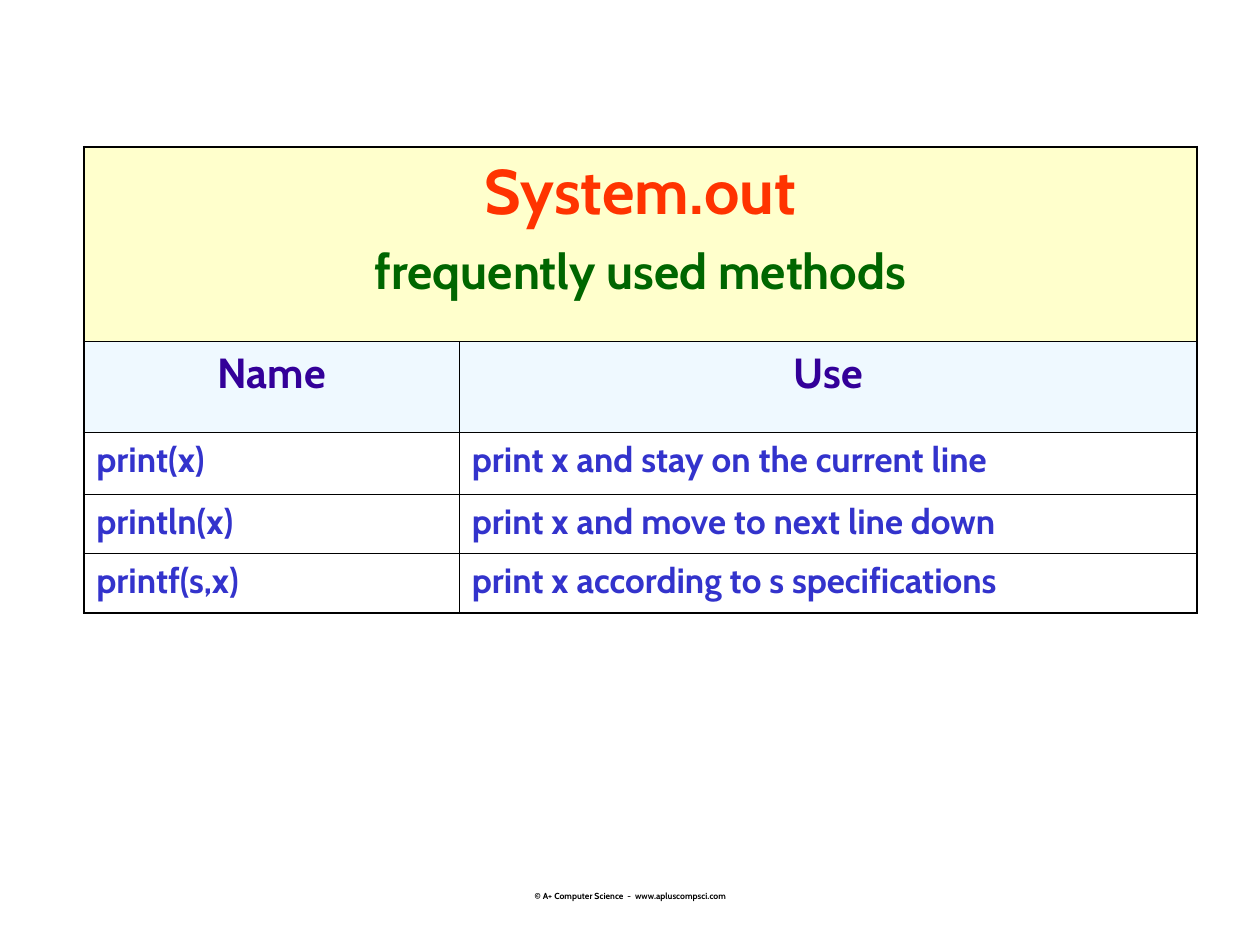
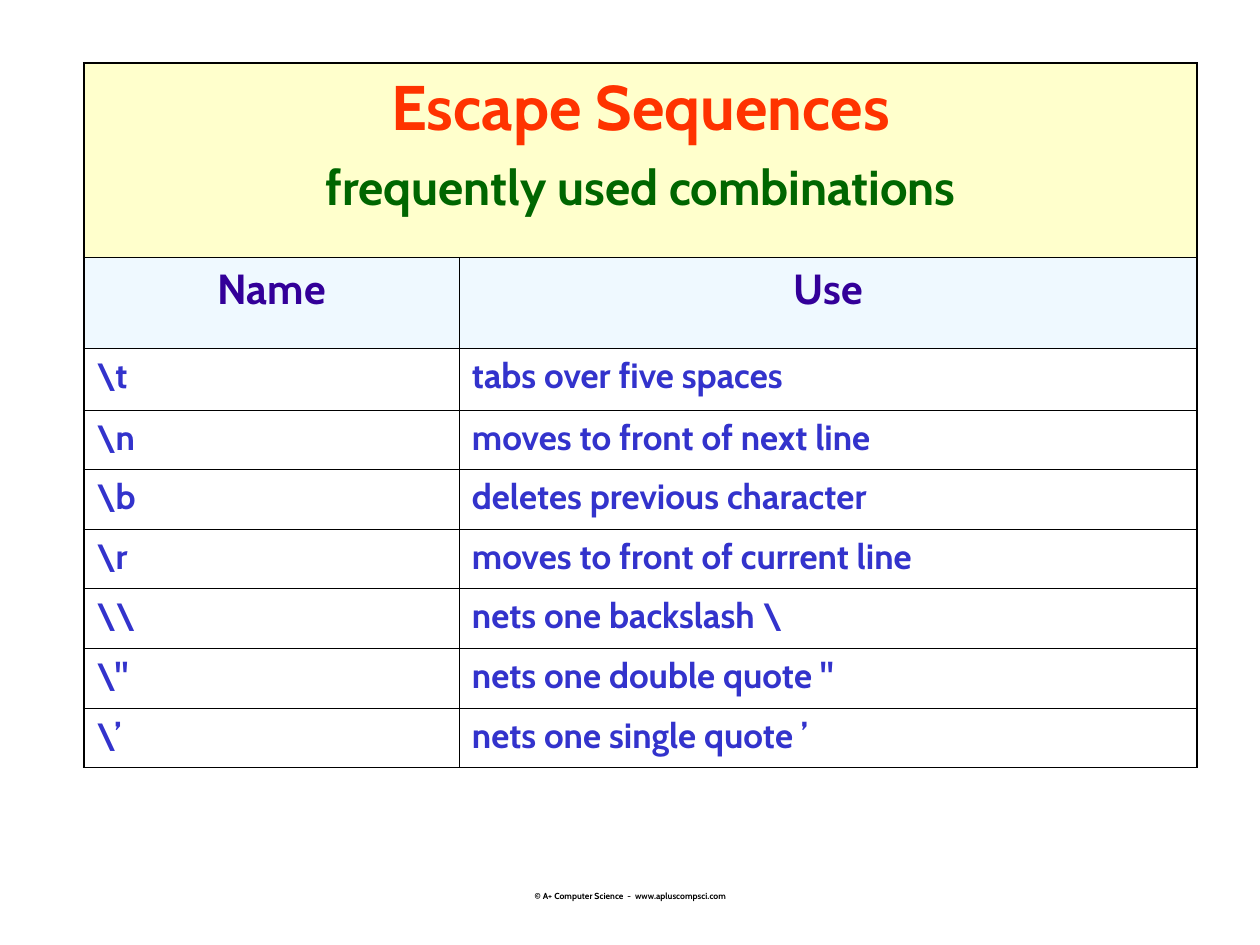
from dataclasses import dataclass

import pptx
import pptx.dml.color
import pptx.enum.text
import pptx.oxml
import pptx.oxml.ns
import pptx.presentation
import pptx.slide
import pptx.table
import pptx.text.text
import pptx.util
from pptx.dml.color import RGBColor
from pptx.util import Cm

# Shared look
FONT = "Cabin"
BLACK = RGBColor(0x00, 0x00, 0x00)
TITLE_RED = RGBColor(0xFF, 0x33, 0x00)
SUBTITLE_GREEN = RGBColor(0x00, 0x66, 0x00)
HEADING_PURPLE = RGBColor(0x33, 0x00, 0x99)
ENTRY_BLUE = RGBColor(0x33, 0x33, 0xCC)
BANNER_YELLOW = RGBColor(0xFF, 0xFF, 0xCC)
HEADING_FILL = RGBColor(0xE1, 0xF4, 0xFF)
HEADING_OPACITY = 50
OUTER_LINE = pptx.util.Pt(1.08)
INNER_LINE = pptx.util.Pt(0.45)

TABLE_LEFT = Cm(1.69)
COLUMN_WIDTHS = (Cm(7.57), Cm(14.87))
TOP_ROW_HEIGHTS = (Cm(3.92), Cm(1.83), Cm(1.25))
ENTRY_HEIGHT = Cm(1.2)
HEADINGS = ("Name", "Use")
FOOTER = "© A+ Computer Science  -  www.apluscompsci.com"

LEFT = pptx.enum.text.PP_ALIGN.LEFT
CENTER = pptx.enum.text.PP_ALIGN.CENTER


@dataclass(frozen=True)
class TextStyle:
    size: float
    color: RGBColor
    alignment: pptx.enum.text.PP_ALIGN = CENTER


TITLE = TextStyle(36, TITLE_RED)
SUBTITLE = TextStyle(28, SUBTITLE_GREEN)
HEADING = TextStyle(24, HEADING_PURPLE)
ENTRY = TextStyle(20, ENTRY_BLUE, LEFT)
FOOTNOTE = TextStyle(5, BLACK)


@dataclass(frozen=True)
class ReferenceTable:
    title: str
    subtitle: str
    top: pptx.util.Length
    entries: tuple[tuple[str, str], ...]


REFERENCE_TABLES = (
    ReferenceTable("System.out", "frequently used methods", Cm(2.96), (
        ("print(x)", "print x and stay on the current line"),
        ("println(x)", "print x and move to next line down"),
        ("printf(s,x)", "print x according to s specifications"),
    )),
    ReferenceTable("Escape Sequences", "frequently used combinations", Cm(1.27), (
        (r"\t", "tabs over five spaces"),
        (r"\n", "moves to front of next line"),
        (r"\b", "deletes previous character"),
        (r"\r", "moves to front of current line"),
        (r"\\", "nets one backslash \\"),
        (r'\"', 'nets one double quote "'),
        (r"\’", "nets one single quote ’"),
    )),
)


def format_paragraph(paragraph: pptx.text.text._Paragraph, style: TextStyle) -> None:
    paragraph.alignment = style.alignment
    for run in paragraph.runs:
        run.font.name = FONT
        run.font.size = pptx.util.Pt(style.size)
        run.font.bold = True
        run.font.color.rgb = style.color


def fill_cell(cell: pptx.table._Cell, text: str, styles: tuple[TextStyle, ...]) -> None:
    cell.text_frame.text = text
    for paragraph, style in zip(cell.text_frame.paragraphs, styles):
        format_paragraph(paragraph, style)


def set_opacity(cell: pptx.table._Cell, percent: int) -> None:
    color = cell._tc.tcPr.find(".//" + pptx.oxml.ns.qn("a:srgbClr"))
    alpha = color.makeelement(pptx.oxml.ns.qn("a:alpha"), {"val": str(percent * 1000)})
    color.append(alpha)


def draw_borders(table: pptx.table.Table) -> None:
    last_row, last_column = len(table.rows) - 1, len(table.columns) - 1
    for row in range(last_row + 1):
        for column in range(last_column + 1):
            properties = table.cell(row, column)._tc.get_or_add_tcPr()
            outer_sides = {"L": column == 0, "R": column == last_column or row == 0,
                           "T": row == 0, "B": row == last_row}
            for index, (side, is_outer) in enumerate(outer_sides.items()):
                width = OUTER_LINE if is_outer else INNER_LINE
                line = pptx.oxml.parse_xml(
                    f'<a:ln{side} {pptx.oxml.ns.nsdecls("a")} w="{int(width)}">'
                    f'<a:solidFill><a:srgbClr val="{BLACK}"/></a:solidFill></a:ln{side}>')
                properties.insert(index, line)


def add_reference_table(slide: pptx.slide.Slide, reference: ReferenceTable) -> None:
    heights = TOP_ROW_HEIGHTS + (ENTRY_HEIGHT,) * (len(reference.entries) - 1)
    table = slide.shapes.add_table(
        len(heights), len(COLUMN_WIDTHS), TABLE_LEFT, reference.top,
        sum(COLUMN_WIDTHS), sum(heights)).table
    table.first_row = table.horz_banding = False
    for column, width in zip(table.columns, COLUMN_WIDTHS):
        column.width = width
    for row, height in zip(table.rows, heights):
        row.height = height

    # Title banner across both columns
    banner = table.cell(0, 0)
    banner.merge(table.cell(0, 1))
    fill_cell(banner, f"{reference.title}\n{reference.subtitle}", (TITLE, SUBTITLE))
    banner.text_frame.paragraphs[1].space_before = pptx.util.Pt(7)
    banner.fill.solid()
    banner.fill.fore_color.rgb = BANNER_YELLOW

    # Column headings
    for column, heading in enumerate(HEADINGS):
        cell = table.cell(1, column)
        fill_cell(cell, heading, (HEADING,))
        cell.fill.solid()
        cell.fill.fore_color.rgb = HEADING_FILL
        set_opacity(cell, HEADING_OPACITY)

    # Entries
    for row, entry in enumerate(reference.entries, start=2):
        for column, text in enumerate(entry):
            cell = table.cell(row, column)
            fill_cell(cell, text, (ENTRY,))
            cell.fill.background()
    draw_borders(table)


def add_footer(slide: pptx.slide.Slide) -> None:
    text_frame = slide.shapes.add_textbox(Cm(8.69), Cm(17.35), Cm(8.05), Cm(1.27)).text_frame
    text_frame.word_wrap = True
    text_frame.margin_top = Cm(0.65)
    text_frame.text = FOOTER
    paragraph = text_frame.paragraphs[0]
    paragraph.line_spacing = 0.8
    format_paragraph(paragraph, FOOTNOTE)


def main() -> None:
    presentation = pptx.Presentation()
    presentation.slide_width, presentation.slide_height = Cm(25.4), Cm(19.05)
    blank_layout = presentation.slide_layouts.get_by_name("Blank")
    for reference in REFERENCE_TABLES:
        slide = presentation.slides.add_slide(blank_layout)
        add_footer(slide)
        add_reference_table(slide, reference)
    presentation.save("out.pptx")


if __name__ == "__main__":
    main()
